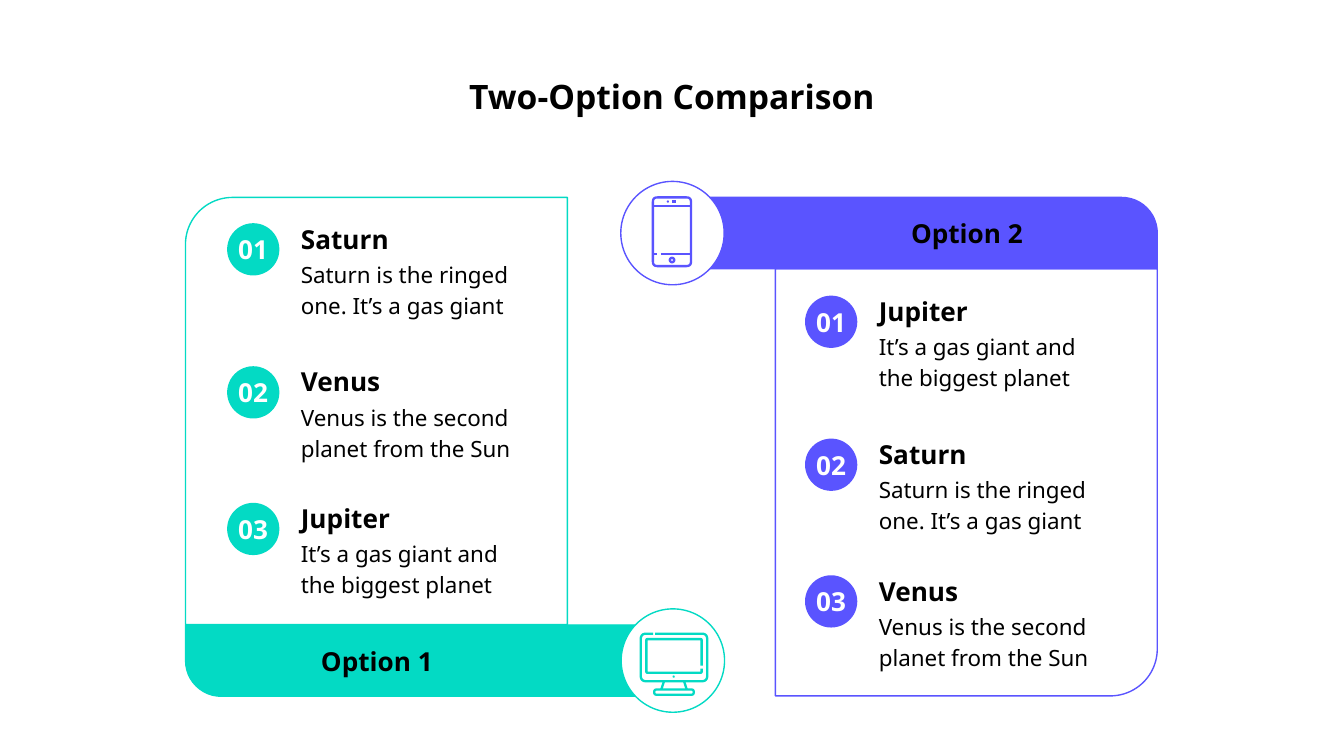
import math
import pptx
import pptx.util
import pptx.dml.color
import pptx.enum.shapes
import pptx.enum.text
import pptx.oxml.ns
import lxml.etree
from dataclasses import dataclass

Pt = pptx.util.Pt
SHAPES = pptx.enum.shapes.MSO_SHAPE
ALIGN = pptx.enum.text.PP_ALIGN
MIDDLE = pptx.enum.text.MSO_ANCHOR.MIDDLE


@dataclass(frozen=True)
class Theme:
    font: str = "Noto Sans"
    black: str = "000000"
    white: str = "FFFFFF"
    teal: str = "03DAC4"
    violet: str = "5A54FF"
    title: int = 18
    heading: int = 14
    body: int = 12
    outline: float = 0.75
    icon_line: float = 1.25


THEME = Theme()
TITLE = "Two-Option Comparison"
FACTS = {
    "Saturn": "Saturn is the ringed one. It’s a gas giant",
    "Venus": "Venus is the second planet from the Sun",
    "Jupiter": "It’s a gas giant and the biggest planet",
}
MONITOR = {
    "center": (361.1, 356),
    "loops": [
        ([(-10.1, -16.5), (17.8, -16.5), (17.8, 9), (-17.8, 9), (-17.8, -16.5), (-11.2, -16.5)], 3, False),
        ([(14.8, 0.6), (14.8, -13.6), (-14.8, -13.6), (-14.8, 4.4), (14.8, 4.4), (14.8, 2.2)], 0.5, False),
        ([(0, 13.4), (10.6, 13.4), (10.6, 16.2), (-10.6, 16.2), (-10.6, 13.4), (0, 13.4)], 1.4, True),
    ],
    "lines": [(-5.4, 9, -6.8, 13.4), (5.4, 9, 6.8, 13.4)],
    "dots": [(-0.2, 6.5, 0.6, True)],
}
PHONE = {
    "center": (360, 124.2),
    "loops": [
        ([(0, -18.4), (10.2, -18.4), (10.2, 18.4), (-10.2, 18.4), (-10.2, -18.4), (0, -18.4)], 2.4, True),
    ],
    "lines": [(-10.2, -14, 10.2, -14), (-10.2, 11.9, -7.9, 11.9), (-6, 11.9, 10.2, 11.9), (0, -16.2, 2.2, -16.2)],
    "dots": [(-2.2, -16.2, 0.6, True), (0, 15.1, 1.2, False)],
}
PANELS = [
    dict(label="Option 2", color=THEME.violet, planets=["Jupiter", "Saturn", "Venus"],
         card=(415.4, 144), card_turn=180, bar=(360, 105.8), bar_turn=0,
         circle=(332.6, 97.2), label_at=(471.6, 115.9), badge=(431.3, 158.4), icon=PHONE),
    dict(label="Option 1", color=THEME.teal, planets=["Saturn", "Venus", "Jupiter"],
         card=(99.4, 105.8), card_turn=0, bar=(99.4, 334.8), bar_turn=180,
         circle=(332.8, 326.2), label_at=(155.5, 344.9), badge=(121.7, 119.6), icon=MONITOR),
]
ROW_OFFSETS = (0, 76.6, 149.8)
CARD_SIZE, BAR_SIZE = (204.6, 228.8), (260, 38.2)
CIRCLE, BADGE = 55.4, 28

presentation = pptx.Presentation()
presentation.slide_width, presentation.slide_height = Pt(720), Pt(405)
slide = presentation.slides.add_slide(presentation.slide_layouts[5])


def rgb(color):
    return pptx.dml.color.RGBColor.from_string(color)


def paint(shape, fill=None, line=None, width=THEME.outline):
    shape.shadow.inherit = False
    if fill:
        shape.fill.solid()
        shape.fill.fore_color.rgb = rgb(fill)
    else:
        shape.fill.background()
    if line:
        shape.line.color.rgb = rgb(line)
        shape.line.width = Pt(width)
    else:
        shape.line.fill.background()


def write(shape, text, size, color=THEME.black, bold=True, align=ALIGN.LEFT, spacing=1.0, inset=7.2):
    frame = shape.text_frame
    frame.word_wrap = True
    frame.auto_size = pptx.enum.text.MSO_AUTO_SIZE.NONE
    frame.vertical_anchor = MIDDLE
    frame.margin_left = frame.margin_right = frame.margin_top = frame.margin_bottom = Pt(inset)
    paragraph = frame.paragraphs[0]
    paragraph.alignment, paragraph.line_spacing = align, spacing
    run = paragraph.add_run()
    run.text = text
    run.font.name, run.font.size, run.font.bold = THEME.font, Pt(size), bold
    run.font.color.rgb = rgb(color)


def add_shape(kind, at, size, fill=None, line=None, width=THEME.outline):
    shape = slide.shapes.add_shape(kind, *map(Pt, (*at, *size)))
    paint(shape, fill, line, width)
    return shape


def add_text(at, size, text, *style, **options):
    write(slide.shapes.add_textbox(*map(Pt, (*at, *size))), text, *style, **options)


def rounded(points, radius):
    path = [points[0]]
    for before, corner, after in zip(points, points[1:], points[2:]):
        start, end = [
            tuple(c + (o - c) * min(radius, math.dist(corner, other) / 2) / math.dist(corner, other)
                  for c, o in zip(corner, other))
            for other in (before, after)
        ]
        for step in range(9):
            t = step / 8
            path.append(tuple((1 - t) ** 2 * s + 2 * t * (1 - t) * c + t * t * e
                              for s, c, e in zip(start, corner, end)))
    return path + [points[-1]]


def draw_icon(icon, color):
    left, top = icon["center"]
    for points, radius, closed in icon["loops"]:
        path = [(Pt(left + x), Pt(top + y)) for x, y in rounded(points, radius)]
        builder = slide.shapes.build_freeform(*path[0])
        builder.add_line_segments(path[1:], close=closed)
        paint(builder.convert_to_shape(), line=color, width=THEME.icon_line)
    for x1, y1, x2, y2 in icon["lines"]:
        connector = slide.shapes.add_connector(
            pptx.enum.shapes.MSO_CONNECTOR.STRAIGHT,
            Pt(left + x1), Pt(top + y1), Pt(left + x2), Pt(top + y2))
        connector.line.color.rgb = rgb(color)
        connector.line.width = Pt(THEME.icon_line)
        lxml.etree.SubElement(connector._element.spPr, pptx.oxml.ns.qn("a:effectLst"))
    for x, y, radius, solid in icon["dots"]:
        add_shape(SHAPES.OVAL, (left + x - radius, top + y - radius), (2 * radius, 2 * radius),
                  color if solid else None, None if solid else color, THEME.icon_line)


def draw_panel(panel):
    color = panel["color"]
    card = add_shape(SHAPES.ROUND_1_RECTANGLE, panel["card"], CARD_SIZE, line=color)
    card.adjustments[0] = 0.123
    card.rotation = panel["card_turn"]
    card._element.spPr.xfrm.set("flipH", "1")
    bar = add_shape(SHAPES.ROUND_1_RECTANGLE, panel["bar"], BAR_SIZE, color, color)
    bar.adjustments[0] = 0.5
    bar.rotation = panel["bar_turn"]
    add_shape(SHAPES.OVAL, panel["circle"], (CIRCLE, CIRCLE), THEME.white, color)
    draw_icon(panel["icon"], color)
    add_text(panel["label_at"], (92.9, 18), panel["label"], THEME.heading, align=ALIGN.CENTER)
    left, first_top = panel["badge"]
    for number, (planet, offset) in enumerate(zip(panel["planets"], ROW_OFFSETS), 1):
        top = first_top + offset
        badge = add_shape(SHAPES.OVAL, (left, top), (BADGE, BADGE), color)
        write(badge, f"{number:02}", THEME.heading, THEME.white, align=ALIGN.CENTER, inset=0)
        badge.text_frame.word_wrap = False
        add_text((left + 32.4, top - 0.8), (92.9, 18), planet, THEME.heading)
        add_text((left + 32.4, top + 16.6), (133.2, 36), FACTS[planet], THEME.body,
                 bold=False, spacing=1.15)


title = slide.shapes.title
title.left, title.top, title.width, title.height = map(Pt, (36, 32.4, 648, 38.2))
write(title, TITLE, THEME.title, align=ALIGN.CENTER)
for panel in PANELS:
    draw_panel(panel)
presentation.save("out.pptx")
